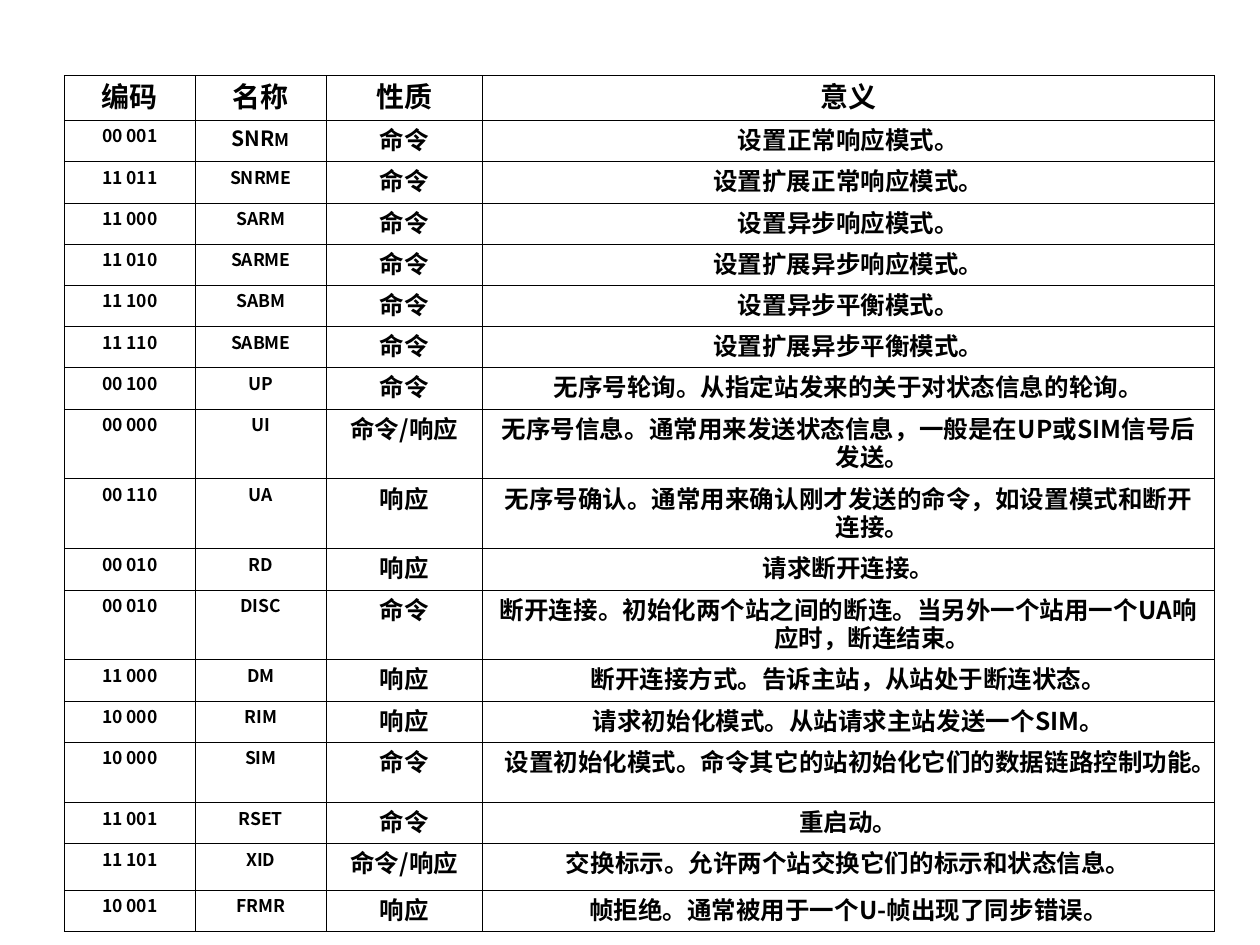
import pptx
import pptx.dml.color
import pptx.enum.text
import pptx.oxml
import pptx.oxml.ns
import pptx.util
from lxml import etree

COLORS = {"text": "000000", "border": "000000"}
FONT = "Noto Sans CJK SC"

HEADINGS = ["编码", "名称", "性质", "意义"]
COMMAND, RESPONSE, EITHER = "命令", "响应", "命令/响应"
FRAMES = [
    ("00 001", "SNRM", COMMAND, "设置正常响应模式。"),
    ("11 011", "SNRME", COMMAND, "设置扩展正常响应模式。"),
    ("11 000", "SARM", COMMAND, "设置异步响应模式。"),
    ("11 010", "SARME", COMMAND, "设置扩展异步响应模式。"),
    ("11 100", "SABM", COMMAND, "设置异步平衡模式。"),
    ("11 110", "SABME", COMMAND, "设置扩展异步平衡模式。"),
    ("00 100", "UP", COMMAND, "无序号轮询。从指定站发来的关于对状态信息的轮询。"),
    ("00 000", "UI", EITHER, "无序号信息。通常用来发送状态信息，一般是在UP或SIM信号后发送。"),
    ("00 110", "UA", RESPONSE, "无序号确认。通常用来确认刚才发送的命令，如设置模式和断开连接。"),
    ("00 010", "RD", RESPONSE, "请求断开连接。"),
    ("00 010", "DISC", COMMAND, "断开连接。初始化两个站之间的断连。当另外一个站用一个UA响应时，断连结束。"),
    ("11 000", "DM", RESPONSE, "断开连接方式。告诉主站，从站处于断连状态。"),
    ("10 000", "RIM", RESPONSE, "请求初始化模式。从站请求主站发送一个SIM。"),
    ("10 000", "SIM", COMMAND, "设置初始化模式。命令其它的站初始化它们的数据链路控制功能。"),
    ("11 001", "RSET", COMMAND, "重启动。"),
    ("11 101", "XID", EITHER, "交换标示。允许两个站交换它们的标示和状态信息。"),
    ("10 001", "FRMR", RESPONSE, "帧拒绝。通常被用于一个U-帧出现了同步错误。"),
]
HEADING_SIZE = 16
COLUMN_SIZES = [10, 10, 14, 14]
COLUMN_SHARES = [0.104, 0.104, 0.124, 0.581]  # of the slide's width

# Row heights as shares of the slide's height
LINE_ROW, WRAPPED_ROW, TALL_ROW = 0.043, 0.064, 0.049
CHARS_PER_LINE = 27


def row_share(name, meaning):
    if len(meaning) > CHARS_PER_LINE:
        return WRAPPED_ROW
    return TALL_ROW if name == "XID" else LINE_ROW


def add_text(paragraph, text, size, color=COLORS["text"], bold=True):
    run = paragraph.add_run()
    run.text = text
    run.font.size = pptx.util.Pt(size)
    run.font.bold = bold
    run.font.name = FONT
    run.font.color.rgb = pptx.dml.color.RGBColor.from_string(color)
    east_asian = etree.SubElement(run.font._element, pptx.oxml.ns.qn("a:ea"))
    east_asian.set("typeface", FONT)


class FrameSlide:
    """Style and current slide; lengths are shares of the slide's size."""

    border_width = pptx.util.Pt(0.45)
    hanging = pptx.util.Inches(0.38)
    line_spacing = 0.8

    def __init__(self, deck):
        self.width, self.height = deck.slide_width, deck.slide_height
        self.slide = deck.slides.add_slide(deck.slide_layouts[6])

    def table(self, left, top, column_shares, row_shares):
        table = self.slide.shapes.add_table(
            len(row_shares), len(column_shares),
            round(left * self.width), round(top * self.height),
            round(sum(column_shares) * self.width),
            round(sum(row_shares) * self.height)).table
        table.first_row = table.horz_banding = False
        for column, share in zip(table.columns, column_shares):
            column.width = round(share * self.width)
        for row, share in zip(table.rows, row_shares):
            row.height = round(share * self.height)
        return table

    def cell(self, cell, runs):
        cell.fill.background()
        self.borders(cell)
        paragraph = cell.text_frame.paragraphs[0]
        paragraph.alignment = pptx.enum.text.PP_ALIGN.CENTER
        paragraph.line_spacing = self.line_spacing
        properties = paragraph._p.get_or_add_pPr()
        properties.set("marL", str(self.hanging))
        properties.set("indent", str(-self.hanging))
        for text, size in runs:
            add_text(paragraph, text, size)

    def borders(self, cell):
        properties = cell._tc.get_or_add_tcPr()
        for position, side in enumerate(("lnL", "lnR", "lnT", "lnB")):
            properties.insert(position, pptx.oxml.parse_xml(
                f'<a:{side} {pptx.oxml.ns.nsdecls("a")} w="{self.border_width}">'
                f'<a:solidFill><a:srgbClr val="{COLORS["border"]}"/></a:solidFill>'
                f'</a:{side}>'))


def main():
    deck = pptx.Presentation()
    deck.slide_width = pptx.util.Inches(10)
    deck.slide_height = pptx.util.Inches(7.5)
    page = FrameSlide(deck)

    # Grid of unnumbered frame codes
    row_shares = [LINE_ROW] + [row_share(name, meaning)
                               for _, name, _, meaning in FRAMES]
    frame_table = page.table(0.051, 0.08, COLUMN_SHARES, row_shares)

    # Heading row
    for column, heading in enumerate(HEADINGS):
        page.cell(frame_table.cell(0, column), [(heading, HEADING_SIZE)])

    # One row per frame; SNRM mixes two sizes
    for row, frame in enumerate(FRAMES, start=1):
        for column, (text, size) in enumerate(zip(frame, COLUMN_SIZES)):
            runs = [("SNR", 12), ("M", size)] if text == "SNRM" else [(text, size)]
            page.cell(frame_table.cell(row, column), runs)

    deck.save("out.pptx")


if __name__ == "__main__":
    main()
